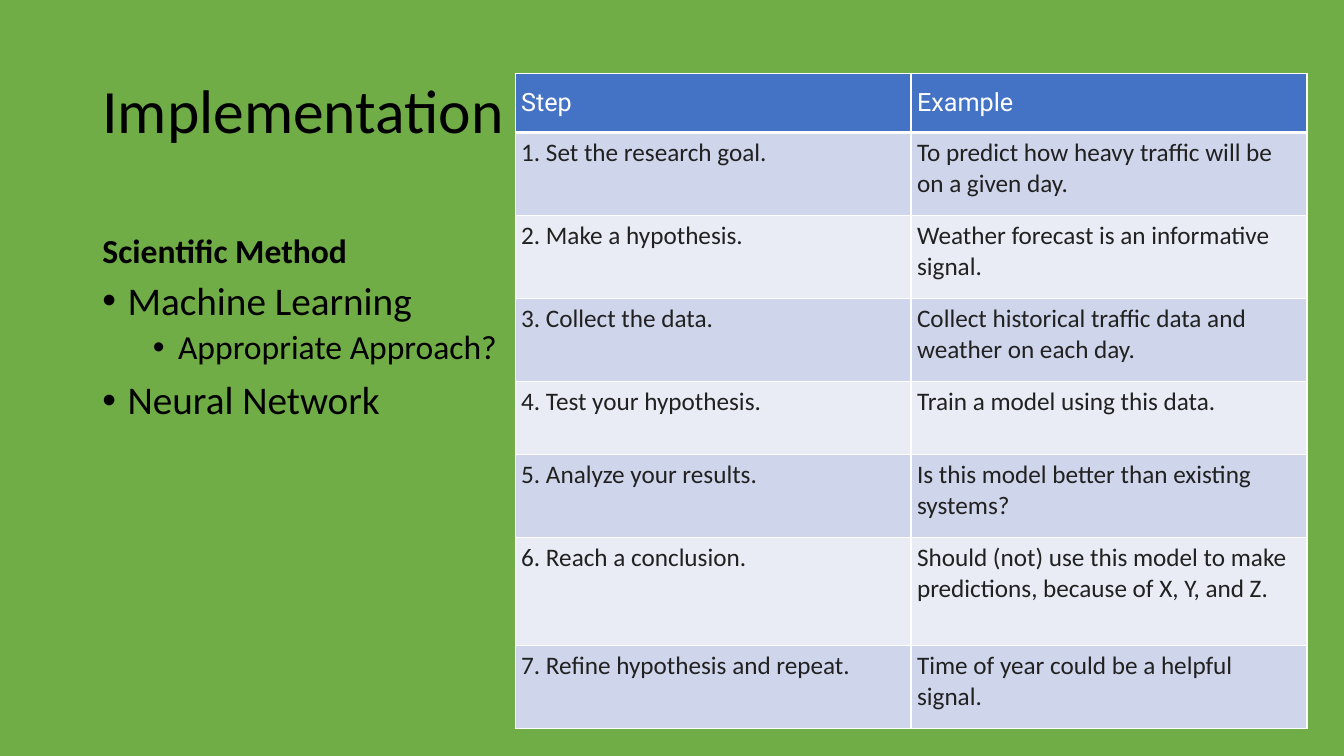
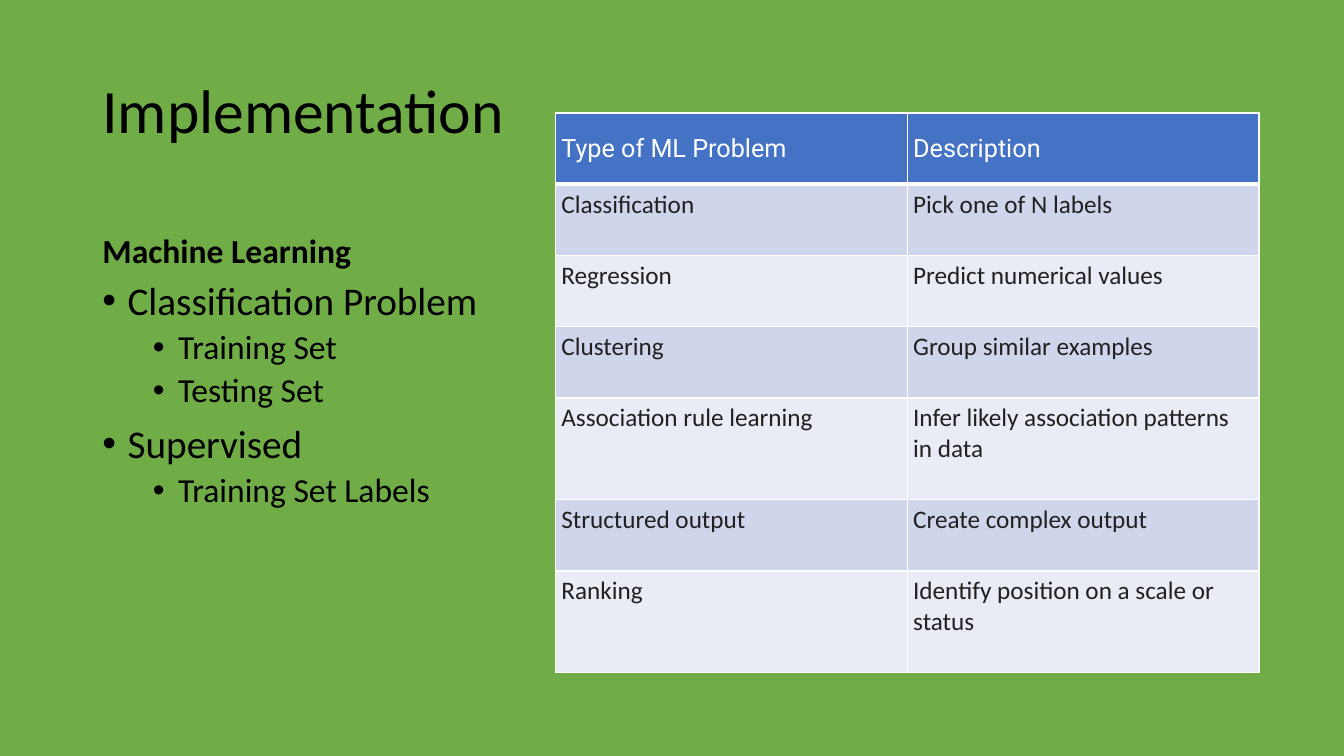
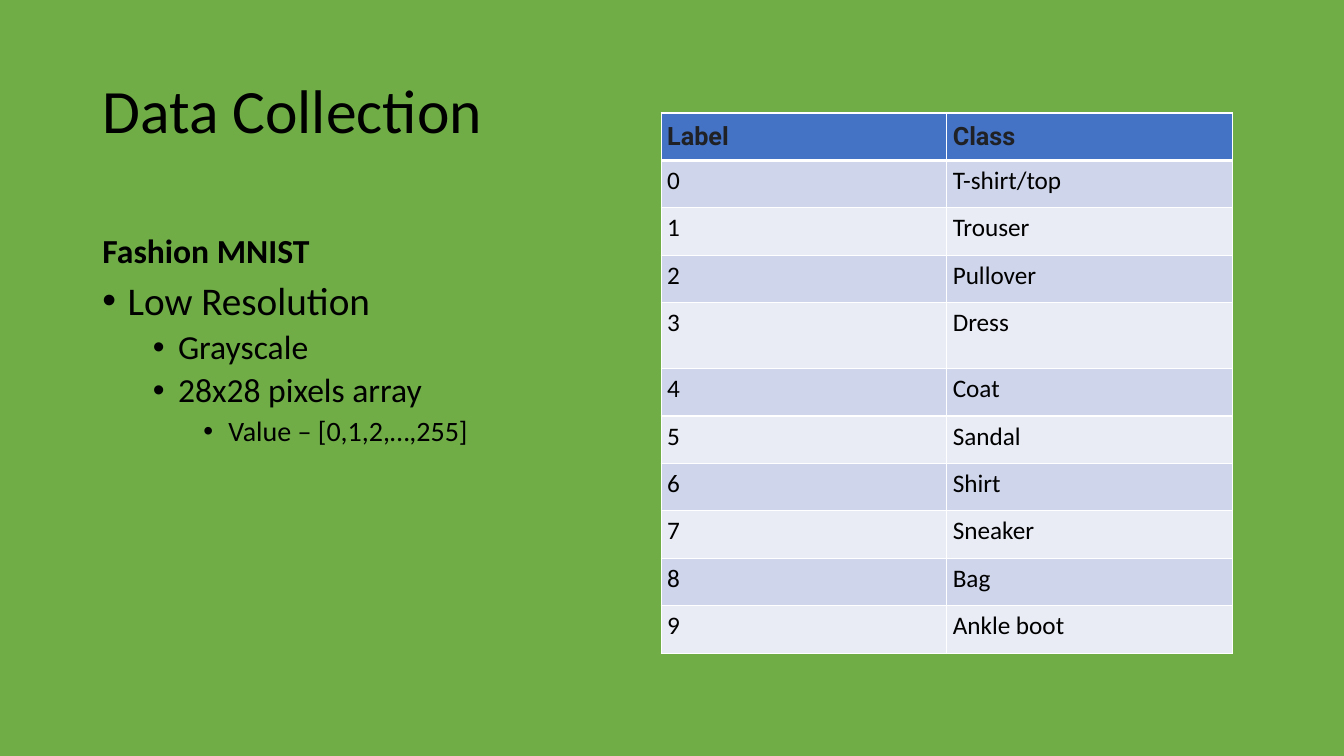
import pptx
import pptx.util
import pptx.dml.color
import pptx.enum.text
from lxml import etree

Pt = pptx.util.Pt
RGB = pptx.dml.color.RGBColor
Anchor = pptx.enum.text.MSO_ANCHOR

GREEN = RGB(0x70, 0xAD, 0x47)
BLUE = RGB(0x44, 0x72, 0xC4)
BANDS = (RGB(0xCF, 0xD5, 0xEA), RGB(0xE9, 0xEB, 0xF5))
WHITE = RGB(0xFF, 0xFF, 0xFF)
BLACK = RGB(0, 0, 0)
INK = RGB(0x21, 0x21, 0x21)
DARK = RGB(0x20, 0x21, 0x24)
SANS = "Calibri"
HEAD = "Roboto"
PAD = 4.3
LEVELS = ((28, 10), (24, 5), (20, 5))
FRAMES = {
    0: ((66, 28.75, 828, 104.4), Anchor.MIDDLE),
    1: ((66, 132.4, 406, 64.9), Anchor.BOTTOM),
    2: ((66, 197.3, 406, 290), Anchor.TOP),
}

SLIDES = [
    {
        "title": "Implementation",
        "topic": "Scientific Method",
        "points": [(0, "Machine Learning"), (1, "Appropriate Approach?"),
                   (0, "Neural Network")],
        "box": (368, 52.4, 565.6),
        "high": 59.3,
        "odd": {0: 42.3, 4: 52.1, 6: 77.1},
        "rows": [
            ("Step", "Example"),
            ("1. Set the research goal.",
             "To predict how heavy traffic will be on a given day."),
            ("2. Make a hypothesis.",
             "Weather forecast is an informative signal."),
            ("3. Collect the data.",
             "Collect historical traffic data and weather on each day."),
            ("4. Test your hypothesis.", "Train a model using this data."),
            ("5. Analyze your results.",
             "Is this model better than existing systems?"),
            ("6. Reach a conclusion.",
             "Should (not) use this model to make predictions, "
             "because of X, Y, and Z."),
            ("7. Refine hypothesis and repeat.",
             "Time of year could be a helpful signal."),
        ],
    },
    {
        "title": "Implementation",
        "topic": "Machine Learning",
        "points": [(0, "Classification Problem"), (1, "Training Set"),
                   (1, "Testing Set"), (0, "Supervised"),
                   (1, "Training Set Labels")],
        "box": (396.7, 80.7, 502.6),
        "high": 50.9,
        "odd": {4: 72.7, 6: 72.7},
        "rows": [
            ("Type of ML Problem", "Description"),
            ("Classification", "Pick one of N labels"),
            ("Regression", "Predict numerical values"),
            ("Clustering", "Group similar examples"),
            ("Association rule learning",
             "Infer likely association patterns in data"),
            ("Structured output", "Create complex output"),
            ("Ranking", "Identify position on a scale or status"),
        ],
    },
    {
        "title": "Data Collection",
        "topic": "Fashion MNIST",
        "points": [(0, "Low Resolution"), (1, "Grayscale"),
                   (1, "28x28 pixels array"), (2, "Value – [0,1,2,…,255]")],
        "box": (472.3, 80.7, 408),
        "high": 33.9,
        "odd": {4: 47.1},
        "head": (DARK, True),
        "ink": BLACK,
        "rows": [("Label", "Class")] + [
            (str(num), name) for num, name in enumerate((
                "T-shirt/top", "Trouser", "Pullover", "Dress", "Coat",
                "Sandal", "Shirt", "Sneaker", "Bag", "Ankle boot"))
        ],
    },
]


def add_tag(base, name, **attrs):
    """Append a drawing element with its attributes."""
    space = pptx.oxml.ns.nsdecls("a").split('"')[1]
    return etree.SubElement(base, "{%s}%s" % (space, name), attrs)


def add_run(para, text, size, color=BLACK, bold=False, face=SANS):
    """Add one formatted run to a paragraph."""
    run = para.add_run()
    run.text = text
    font = run.font
    font.name, font.size, font.bold = face, Pt(size), bold
    font.color.rgb = color


def set_para(para, before):
    """Set the line spacing and alignment shared by all headings and lists."""
    para.alignment = pptx.enum.text.PP_ALIGN.LEFT
    para.line_spacing = 0.9
    para.space_before = Pt(before)


def set_layout(deck):
    """Style the master background and the layout's three text frames."""
    fill = deck.slide_master.background.fill
    fill.solid()
    fill.fore_color.rgb = GREEN
    layout = deck.slide_layouts.get_by_name("Comparison")
    for holder in list(layout.placeholders):
        idx = holder.placeholder_format.idx
        if idx not in FRAMES:
            holder.element.getparent().remove(holder.element)
            continue
        box, anchor = FRAMES[idx]
        holder.left, holder.top, holder.width, holder.height = map(Pt, box)
        holder.text_frame.vertical_anchor = anchor
        holder.text_frame.auto_size = pptx.enum.text.MSO_AUTO_SIZE.NONE
    return layout


def add_heads(slide, title, topic):
    """Fill the title and the bold topic line."""
    for idx, text, size, before in ((0, title, 44, 0), (1, topic, 24, 10)):
        para = slide.placeholders[idx].text_frame.paragraphs[0]
        set_para(para, before)
        add_run(para, text, size, bold=idx == 1)


def add_list(slide, points):
    """Fill the bullet list, indented by level."""
    frame = slide.placeholders[2].text_frame
    for num, (level, text) in enumerate(points):
        para = frame.add_paragraph() if num else frame.paragraphs[0]
        size, before = LEVELS[level]
        para.level = level
        set_para(para, before)
        props = para._p.get_or_add_pPr()
        props.set("marL", str(Pt(18 + 36 * level)))
        props.set("indent", str(Pt(-18)))
        add_tag(props, "buFont", typeface="Arial")
        add_tag(props, "buChar", char="•")
        add_run(para, text, size)


def set_edges(cell, low):
    """Draw white cell borders, with the given width at the bottom."""
    props = cell._tc.get_or_add_tcPr()
    for side, width in (("L", 1), ("R", 1), ("T", 1), ("B", low)):
        line = add_tag(props, "ln" + side, w=str(Pt(width)))
        add_tag(add_tag(line, "solidFill"), "srgbClr", val=str(WHITE))


def set_cell(cell, text, row, head, ink):
    """Format one cell as header or banded body."""
    top = row == 0
    set_edges(cell, 3 if top else 1)
    cell.fill.solid()
    cell.fill.fore_color.rgb = BLUE if top else BANDS[(row - 1) % 2]
    cell.margin_left = cell.margin_right = cell.margin_bottom = Pt(PAD)
    cell.margin_top = Pt(PAD if top else 3.6)
    cell.vertical_anchor = Anchor.MIDDLE if top else Anchor.TOP
    color, bold = head if top else (ink, False)
    para = cell.text_frame.paragraphs[0]
    add_run(para, text, 18, color, bold, HEAD if top else SANS)


def add_grid(slide, box, rows, high, odd, head=(WHITE, False), ink=INK):
    """Add a table of equal columns at a left, top and width."""
    left, top, width = box
    sizes = [odd.get(num, high) for num in range(len(rows))]
    cols = len(rows[0])
    table = slide.shapes.add_table(
        len(rows), cols, Pt(left), Pt(top), Pt(width), Pt(sum(sizes))).table
    table.first_row = table.horz_banding = False
    for col in table.columns:
        col.width = Pt(width / cols)
    for row, texts in enumerate(rows):
        table.rows[row].height = Pt(sizes[row])
        for col, text in enumerate(texts):
            set_cell(table.cell(row, col), text, row, head, ink)


def add_slide(deck, layout, title, topic, points, **grid):
    """Build a slide with headings, list and table."""
    slide = deck.slides.add_slide(layout)
    add_heads(slide, title, topic)
    add_list(slide, points)
    add_grid(slide, **grid)


def main():
    """Build and save the deck."""
    deck = pptx.Presentation()
    deck.slide_width, deck.slide_height = Pt(960), Pt(540)
    layout = set_layout(deck)
    for data in SLIDES:
        add_slide(deck, layout, **data)
    deck.save("out.pptx")


if __name__ == "__main__":
    main()
